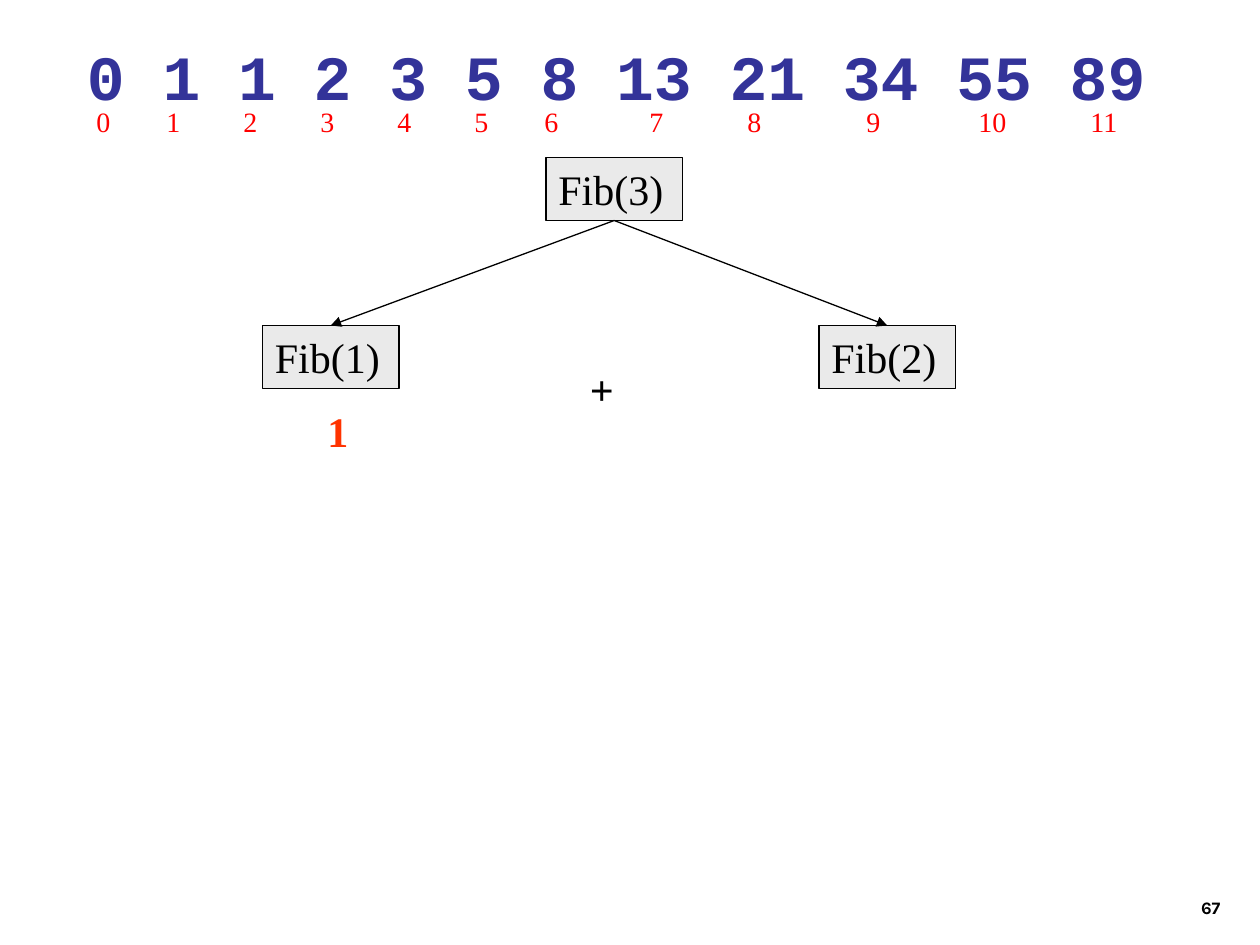
from pptx import Presentation
from pptx.dml.color import RGBColor
from pptx.enum.shapes import MSO_CONNECTOR, MSO_SHAPE
from pptx.enum.text import MSO_ANCHOR, PP_ALIGN
from pptx.oxml.ns import qn
from pptx.util import Inches, Pt
from lxml import etree

RECTANGLE, STRAIGHT = MSO_SHAPE.RECTANGLE, MSO_CONNECTOR.STRAIGHT
TOP, BOTTOM = MSO_ANCHOR.TOP, MSO_ANCHOR.BOTTOM
LEFT, RIGHT = PP_ALIGN.LEFT, PP_ALIGN.RIGHT
TOP_SITE, BOTTOM_SITE = 0, 2

WIDTH, HEIGHT = 10, 7.5
CELLS_PER_INCH = 12
NODE_COLUMNS, NODE_ROWS = 13, 6

SEQUENCE = "0 1 1 2 3 5 8 13 21 34 55 89"
INDEX_SIZE = 16
# Gaps between neighbouring indices, in widths of a space (a quarter em).
INDEX_GAPS = [8, 9, 9, 9, 9, 8, 13, 12, 15, 14, 12]


def color(value):
    return RGBColor.from_string(value)


def index_stops():
    """Return the tab stop, in points, of every index after the first."""
    space, digit = INDEX_SIZE / 4, INDEX_SIZE / 2
    stops, position = [], 0
    for index, gap in enumerate(INDEX_GAPS):
        position += len(str(index)) * digit + gap * space
        stops.append(position)
    return stops


class FibonacciPage:
    """Draws on one slide; places are columns and rows of a 1/12 inch grid."""

    font = "Times New Roman"
    ink = "000000"
    node_fill = "EAEAEA"
    line_width = 0.75

    def __init__(self, deck):
        self.page = deck.slides.add_slide(deck.slide_layouts[6])

    def place(self, *cells):
        return [Inches(cell / CELLS_PER_INCH) for cell in cells]

    def set_text(self, shape, text, size=24, font=None, ink=None, bold=False,
                 align=LEFT, anchor=TOP, wrap=True, stops=()):
        frame = shape.text_frame
        frame.text = text
        frame.word_wrap = wrap
        frame.vertical_anchor = anchor
        para = frame.paragraphs[0]
        para.alignment = align
        if stops:
            tabs = etree.SubElement(para._p.get_or_add_pPr(), qn("a:tabLst"))
            for stop in stops:
                etree.SubElement(tabs, qn("a:tab"), pos=str(Pt(stop)), algn="l")
        for span in para.runs:
            span.font.name = font or self.font
            span.font.size = Pt(size)
            span.font.bold = bold
            span.font.color.rgb = color(ink or self.ink)

    def label(self, text, column, row, columns, rows, **style):
        box = self.page.shapes.add_textbox(*self.place(column, row, columns, rows))
        self.set_text(box, text, **style)

    def node(self, text, column, row):
        cells = self.place(column, row, NODE_COLUMNS, NODE_ROWS)
        box = self.page.shapes.add_shape(RECTANGLE, *cells)
        box.shadow.inherit = False
        box.fill.solid()
        box.fill.fore_color.rgb = color(self.node_fill)
        self.outline(box)
        self.set_text(box, text)
        return box

    def outline(self, shape):
        shape.line.color.rgb = color(self.ink)
        shape.line.width = Pt(self.line_width)

    def arrow(self, parent, child):
        link = self.page.shapes.add_connector(STRAIGHT, 0, 0, 0, 0)
        link.begin_connect(parent, BOTTOM_SITE)
        link.end_connect(child, TOP_SITE)
        self.outline(link)
        etree.SubElement(link.get_or_add_ln(), qn("a:tailEnd"), type="triangle")
        etree.SubElement(link._element.spPr, qn("a:effectLst"))


def main():
    deck = Presentation()
    deck.slide_width, deck.slide_height = Inches(WIDTH), Inches(HEIGHT)
    page = FibonacciPage(deck)

    page.label("67", 92.4, 82, 25, 6, size=10, font="Karla", bold=True,
               align=RIGHT, anchor=BOTTOM)
    page.label("+", 55, 34, 5.75, 6, bold=True)

    root = page.node("Fib(3)", 52, 15)
    children = [page.node("Fib(2)", 78, 31), page.node("Fib(1)", 25, 31)]
    page.label("1", 30, 38, 5, 6, ink="FF3300", bold=True)
    for child in children:
        page.arrow(root, child)

    page.label(SEQUENCE, 7.1, 3, 106.8, 8.4, size=36, font="Courier New",
               ink="333399", bold=True, wrap=False)
    indices = "\t".join(str(index) for index in range(len(INDEX_GAPS) + 1))
    page.label(indices, 8, 9.4, 101, 4.4, size=INDEX_SIZE, ink="FF0000",
               stops=index_stops())

    deck.save("out.pptx")


if __name__ == "__main__":
    main()
